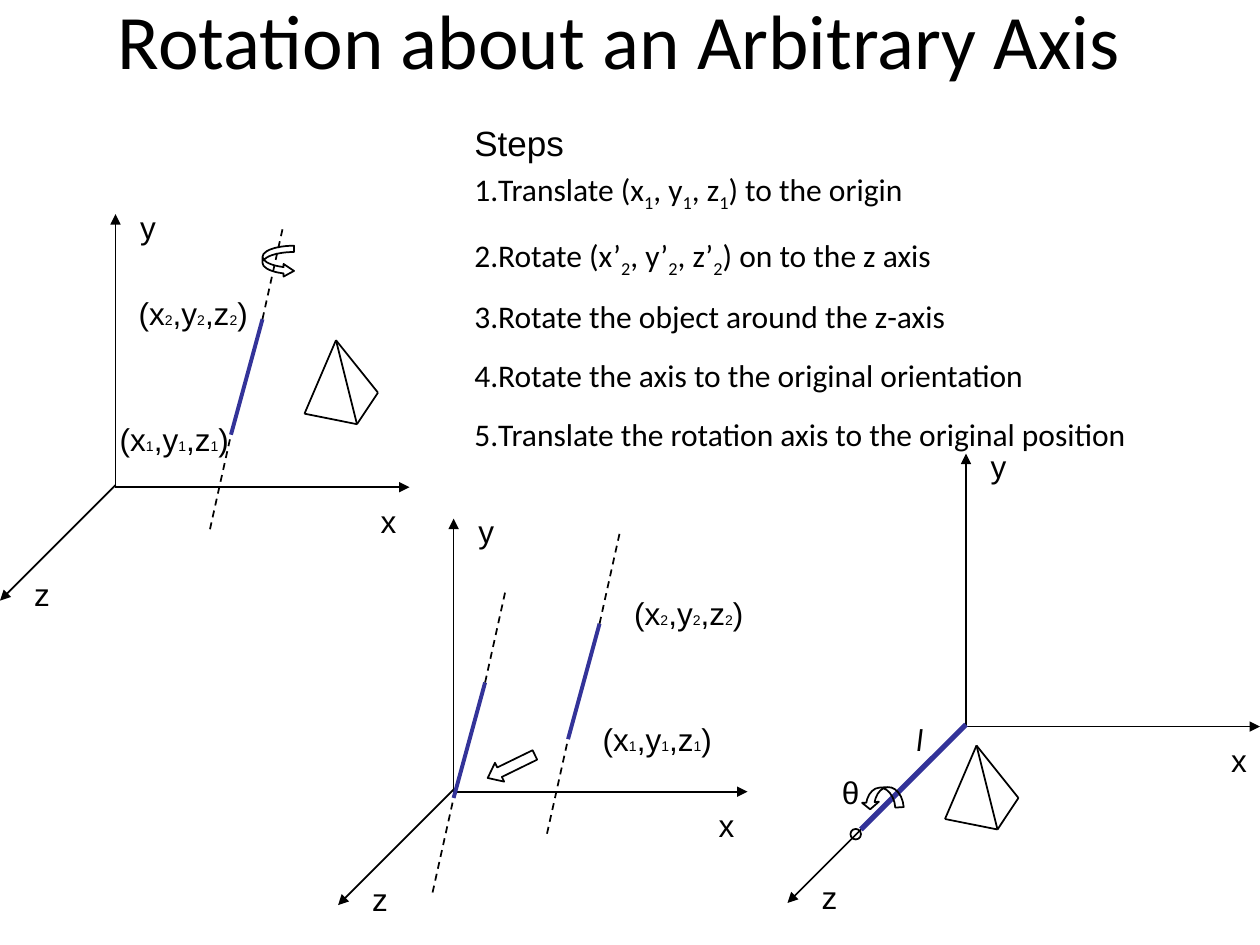
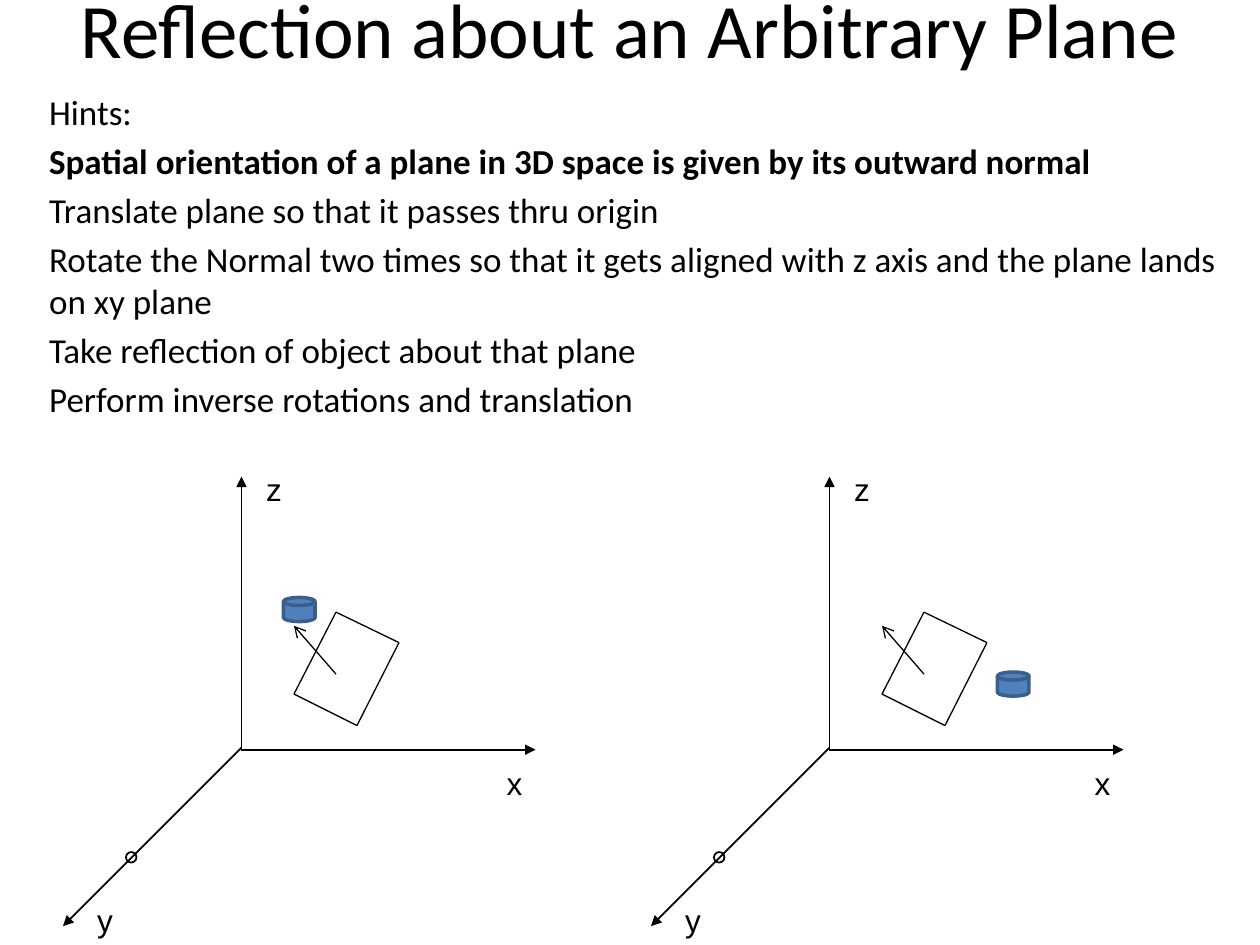
import lxml.etree
import pptx
import pptx.dml.color
import pptx.enum.dml
import pptx.enum.shapes
import pptx.enum.text
import pptx.oxml.ns
import pptx.util

COLORS = {"ink": "000000", "axis": "333399", "disk": "4F81BD", "disk_edge": "3A5F8C"}
RGB = pptx.dml.color.RGBColor.from_string
SHAPE = pptx.enum.shapes.MSO_SHAPE
ALIGN = pptx.enum.text.PP_ALIGN
qn = pptx.oxml.ns.qn
Pt = pptx.util.Pt

# The slide is a grid of 120 columns by 90 rows of square cells.
prs = pptx.Presentation()
prs.slide_width = pptx.util.Inches(10)
prs.slide_height = pptx.util.Inches(7.5)
CELL = prs.slide_width / 120


def line(s, start, end, color="ink", width=1, dash=False, head=None):
    ends = [round(v * CELL) for v in (*start, *end)]
    sp = s.shapes.add_connector(pptx.enum.shapes.MSO_CONNECTOR.STRAIGHT, *ends)
    sp.line.color.rgb = RGB(COLORS[color])
    sp.line.width = Pt(width)
    if dash:
        sp.line.dash_style = pptx.enum.dml.MSO_LINE.DASH
    if head:
        lxml.etree.SubElement(sp.line._get_or_add_ln(), qn("a:tailEnd"), type=head)
    lxml.etree.SubElement(sp._element.spPr, qn("a:effectLst"))


def text(s, box, lines, size=18, font="Arial", align=ALIGN.CENTER, wrap=False, sub_size=None):
    """Add a text box; parts between underscores are subscripts, or just smaller with sub_size."""
    tf = s.shapes.add_textbox(*[round(v * CELL) for v in box]).text_frame
    tf.word_wrap = wrap
    for i, content in enumerate(lines):
        p = tf.paragraphs[0] if i == 0 else tf.add_paragraph()
        p.alignment = align
        for j, part in enumerate(content.split("_")):
            r = p.add_run()
            r.text = part
            r.font.name = font
            r.font.size = Pt(size)
            r.font.color.rgb = RGB(COLORS["ink"])
            if j % 2 and sub_size:
                r.font.size = Pt(sub_size)
            elif j % 2:
                r._r.get_or_add_rPr().set("baseline", "-25000")
    return tf


rotation, reflection = [prs.slides.add_slide(prs.slide_layouts[6]) for _ in range(2)]

# Titles
for s, title, box in [
    (rotation, "Rotation about an Arbitrary Axis", (8, -6, 102, 19.3)),
    (reflection, "Reflection about an Arbitrary Plane", (0, -7, 120, 19.3)),
]:
    tf = text(s, box, [title], 44, "Calibri", wrap=True)
    tf.vertical_anchor = pptx.enum.text.MSO_ANCHOR.MIDDLE

# Numbered steps
steps = text(rotation, (44, 11, 84, 23), [
    "Steps",
    "Translate (x_1_, y_1_, z_1_) to the origin",
    "Rotate (x’_2_, y’_2_, z’_2_) on to the z axis",
    "Rotate the object around the z-axis",
    "Rotate the axis to the original orientation",
    "Translate the rotation axis to the original position",
], 18, "Calibri", ALIGN.LEFT, wrap=True)
heading = steps.paragraphs[0]
heading.space_before = Pt(4)
heading.runs[0].font.name = "Arial"
heading.runs[0].font.size = Pt(20)
for p, spacing in zip(steps.paragraphs[1:], (1, 1.4, 1.3, 1.4, 1.4)):
    p.line_spacing = spacing
    p.space_before = Pt(3.6)
    pPr = p._p.get_or_add_pPr()
    pPr.set("marL", "0")
    pPr.set("indent", "0")
    lxml.etree.SubElement(pPr, qn("a:buFont"), typeface="+mj-lt")
    lxml.etree.SubElement(pPr, qn("a:buAutoNum"), type="arabicPeriod")

# Hints
hints = text(reflection, (3.5, 8, 114.5, 13.2), [
    "Hints:",
    "Spatial orientation of a plane in 3D space is given by its outward normal",
    "Translate plane so that it passes thru origin",
    "Rotate the Normal two times so that it gets aligned with z axis and the plane lands on xy plane",
    "Take reflection of object about that plane",
    "Perform inverse rotations and translation",
], 20, "Calibri", ALIGN.LEFT, wrap=True)
for p in hints.paragraphs:
    p.space_before = Pt(4)
hints.paragraphs[1].runs[0].font.bold = True

# Shapes: slide, preset, box, rotation, adjustments, fill, line colour, line width
shapes = [
    (rotation, SHAPE.CURVED_RIGHT_ARROW, (25, 23.4, 3, 3), 0, (0.2, 0.4, 0.33), None, "ink", 1),
    (rotation, SHAPE.CURVED_RIGHT_ARROW, (83, 74, 2, 4), 86.1, (0.4, 0.8, 0.33), None, "ink", 1),
    (rotation, SHAPE.LEFT_ARROW, (46.2, 72, 5, 2), 334, (0.5, 0.63), None, "ink", 1),
]
for x, y in [(27, 56.9), (95, 64)]:
    shapes.append((reflection, SHAPE.FLOWCHART_MAGNETIC_DISK, (x, y, 3, 2.3), 0, (),
                   "disk", "disk_edge", 2))

# Coordinate axes: slide, origin, length of the slanted axis, labels (up, right, slanted)
for s, x, y, reach, (up, right, slant) in [
    (rotation, 11, 46.4, 11, "yxz"),
    (rotation, 43.2, 75.4, 11, "yxz"),
    (rotation, 92, 69.2, 17, "yxz"),
    (reflection, 23, 71.4, 17, "zxy"),
    (reflection, 79, 71.4, 17, "zxy"),
]:
    line(s, (x, y), (x, y - 26), head="triangle")
    line(s, (x, y), (x + 28, y), head="triangle")
    line(s, (x, y - 0.2), (x - reach, y - 0.2 + reach), head="triangle")
    text(s, (x + 1.1, y - 27.2, 4, 4.8), [up])
    text(s, (x + 24, y + 0.8, 4, 4.8), [right])
    text(s, (x + 2 - reach, y - 3.2 + reach, 4, 4.8), [slant])
    if reach == 17:
        shapes.append((s, SHAPE.OVAL, (x - 11, y + 9.75, 1, 1), 0, (), None, "ink", 1))

# Rotation axis: given, before translation, after translation
for x, y in [(22, 41.4), (54.1, 70.4), (43.2, 76)]:
    line(rotation, (x, y), (x + 3, y - 11), "axis", 2.25)
    line(rotation, (x + 3, y - 11), (x + 5, y - 20), dash=True)
    line(rotation, (x - 2, y + 9), (x, y), dash=True)
for n, x, y in [(2, 12, 27.4), (1, 10.2, 39.4), (2, 59.2, 56), (1, 56.2, 68)]:
    text(rotation, (x, y, 12.8, 4.8), [f"(x_{n}_,y_{n}_,z_{n}_)"], sub_size=8)

# Axis aligned with z
line(rotation, (92, 69), (82, 79), "axis", 3)
text(rotation, (79, 73, 4, 4.8), ["θ"])
tf = text(rotation, (86, 68, 3.2, 4.8), ["l"], font="Calibri")
tf.paragraphs[0].runs[0].font.italic = True

# Pyramids
for x, y in [(32, 32.4), (93, 71)]:
    apex, left, front, back = (x, y), (x - 3, y + 7), (x + 2, y + 8), (x + 4, y + 5)
    for start, end in [(apex, left), (left, front), (apex, back), (back, front), (front, apex)]:
        line(rotation, start, end)

# Planes with their normals
for x in (23, 79):
    corners = [(x + 9, 58.3), (x + 5, 66.1), (x + 11, 69.1), (x + 15, 61.2)]
    for start, end in zip(corners, corners[1:] + corners[:1]):
        line(reflection, start, end, width=0.75)
    line(reflection, (x + 9, 64.2), (x + 5, 59.6), width=0.75, head="arrow")

for s, preset, box, angle, adjustments, fill, edge, width in shapes:
    sp = s.shapes.add_shape(preset, *[round(v * CELL) for v in box])
    sp.shadow.inherit = False
    sp.rotation = angle
    for i, value in enumerate(adjustments):
        sp.adjustments[i] = value
    if fill:
        sp.fill.solid()
        sp.fill.fore_color.rgb = RGB(COLORS[fill])
    else:
        sp.fill.background()
    sp.line.color.rgb = RGB(COLORS[edge])
    sp.line.width = Pt(width)

prs.save("out.pptx")
